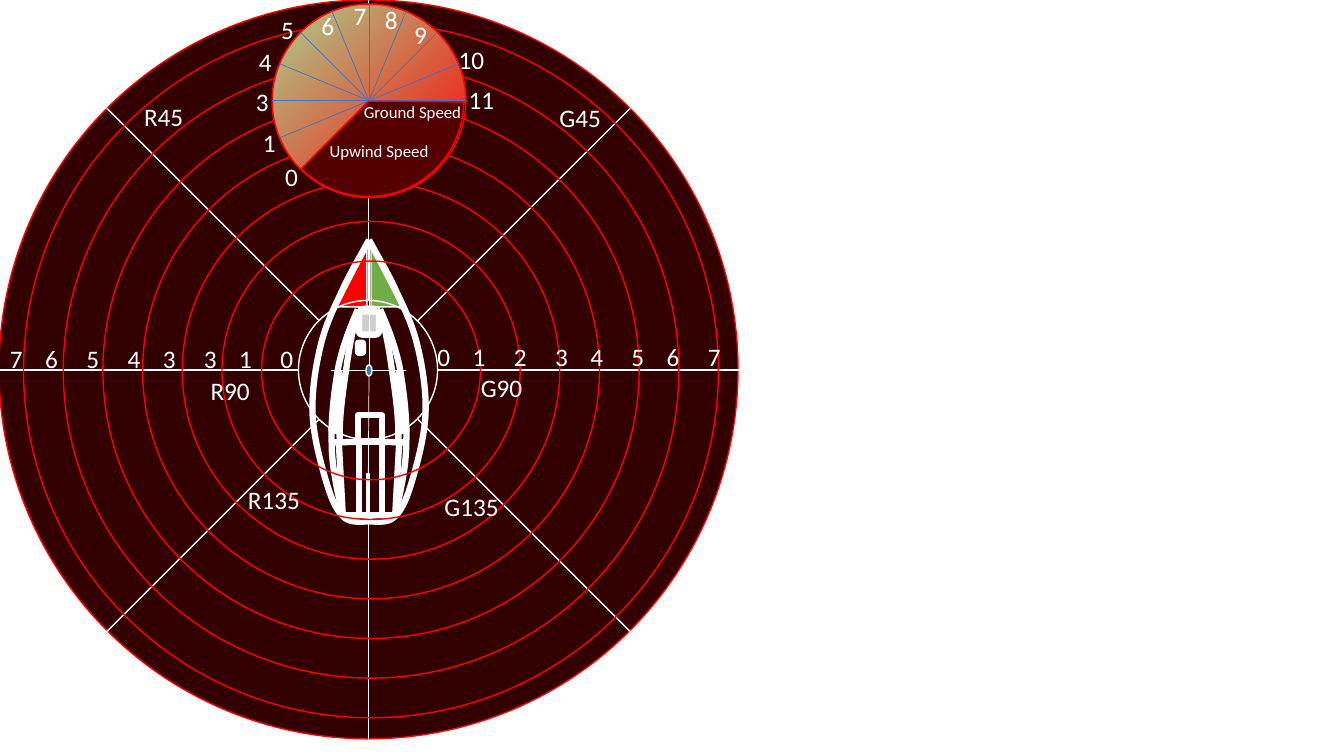
from itertools import accumulate
from math import cos, radians, sin

from lxml.etree import SubElement
from pptx import Presentation
from pptx.dml.color import RGBColor
from pptx.enum.shapes import MSO_CONNECTOR, MSO_SHAPE as Preset
from pptx.enum.text import MSO_AUTO_SIZE
from pptx.oxml.ns import qn
from pptx.util import Inches, Pt

CELL = Inches(0.1)  # the grid has 133.3 columns and 75 rows
COLORS = {
    "white": "FFFFFF", "red": "FF0000", "green": "70AD47", "blue": "4472C4",
    "grey": "D0CECE", "night": "320000", "maroon": "540000", "sage": "A9D18E",
}
HAIR, THIN, THICK = 0.5, 1, 4.5


def cells(count):
    return round(count * CELL)


def color(name):
    return RGBColor.from_string(COLORS[name])


def polar(center, radius, degrees):
    angle = radians(degrees)
    return center[0] + radius * cos(angle), center[1] + radius * sin(angle)


class Board:
    font = "Calibri"

    def __init__(self, presentation):
        self.slide = presentation.slides.add_slide(presentation.slide_layouts[6])
        self.shapes = self.slide.shapes

    def finish(self, shape, fill, line, weight):
        shape.shadow.inherit = False
        if fill:
            shape.fill.solid()
            shape.fill.fore_color.rgb = color(fill)
        else:
            shape.fill.background()
        shape.line.color.rgb = color(line)
        shape.line.width = Pt(weight)
        return shape

    def shape(self, preset, left, top, width, height, fill=None, line="white",
              weight=THIN, adjust=(), rotation=0, flip=False):
        shape = self.shapes.add_shape(preset, *map(cells, (left, top, width, height)))
        for index, value in enumerate(adjust):
            shape.adjustments[index] = value
        shape.rotation = rotation
        if flip:
            shape._element.spPr.find(qn("a:xfrm")).set("flipH", "1")
        return self.finish(shape, fill, line, weight)

    def circle(self, center, diameter, fill=None, line="red", preset=Preset.OVAL, adjust=()):
        left, top = (value - diameter / 2 for value in center)
        return self.shape(preset, left, top, diameter, diameter, fill, line, adjust=adjust)

    def line(self, start, end, weight=THIN, tint="white"):
        line = self.shapes.add_connector(
            MSO_CONNECTOR.STRAIGHT, *map(cells, (*start, *end)))
        line.line.color.rgb = color(tint)
        line.line.width = Pt(weight)
        SubElement(line._element.spPr, qn("a:effectLst"))
        return line

    def curve(self, points):
        """Draw a chain of cubic curves; every third point lies on the line."""
        start, *rest = [tuple(map(cells, point)) for point in points]
        builder = self.shapes.build_freeform(*start, scale=1)
        builder.add_line_segments(rest, close=False)
        shape = builder.convert_to_shape()
        outline = shape._element.spPr.find(".//" + qn("a:path"))
        segments = outline.findall(qn("a:lnTo"))
        for first in range(0, len(segments), 3):
            cubic = SubElement(outline, qn("a:cubicBezTo"))
            for segment in segments[first:first + 3]:
                cubic.append(segment[0])
                outline.remove(segment)
        return self.finish(shape, None, "white", THICK)

    def text(self, words, left, top, width, height=4, size=18, tabs=()):
        box = self.shapes.add_textbox(*map(cells, (left, top, width, height)))
        frame = box.text_frame
        frame.word_wrap = bool(tabs)
        frame.auto_size = MSO_AUTO_SIZE.SHAPE_TO_FIT_TEXT
        paragraph = frame.paragraphs[0]
        paragraph.text = words
        if tabs:
            properties = paragraph._p.get_or_add_pPr()
            stops = SubElement(properties, qn("a:tabLst"))
            for stop in tabs:
                SubElement(stops, qn("a:tab"), pos=str(cells(stop)), algn="l")
        paragraph.font.name = self.font
        paragraph.font.size = Pt(size)
        paragraph.font.color.rgb = color("white")

    def corner_gradient(self, shape, near, far):
        """Spread two colours outward from the bottom right corner."""
        shape.fill.gradient()
        for stop, name, position in zip(shape.fill.gradient_stops, (near, far), (0, 1)):
            stop.color.rgb = color(name)
            stop.position = position
        gradient = shape._element.spPr.find(qn("a:gradFill"))
        gradient.remove(gradient.find(qn("a:lin")))
        spread = SubElement(gradient, qn("a:path"))
        spread.set("path", "circle")
        SubElement(spread, qn("a:fillToRect"), l="100000", t="100000")


def draw_boat(board):
    axis = 36.6
    hull = [(36.6, 23.8), (35.7, 25.5), (34.7, 27.1), (33.9, 28.9), (33.1, 30.6),
            (32.3, 32.2), (31.8, 34.3), (31.3, 36.3), (30.9, 38.9), (31, 41.1),
            (31.1, 43.3), (31.8, 45.9), (32.3, 47.6), (32.8, 49.3), (33.3, 50.6),
            (34.1, 51.3), (34.8, 52), (36.3, 51.7), (36.8, 51.7)]
    deck = [(35.5, 30.7), (34.8, 32.3), (34.1, 34), (33.6, 36.2), (33.2, 38.4),
            (32.8, 41.5), (32.9, 43.9), (32.9, 46.4), (33.5, 48.8), (34, 51.1)]
    cabin = [(35.5, 30.7), (35.1, 32.3), (34.7, 34), (34.4, 36.2), (34.1, 38.3),
             (33.6, 41.3), (33.7, 43.8)]
    hatch = board.shape(Preset.RECTANGLE, 35.5, 41.2, 2.4, 2.6, weight=THICK)

    # Port half, then its mirror to starboard
    for side, bow in ((1, "red"), (-1, "green")):
        def mirror(point):
            return axis + side * (point[0] - axis), point[1]

        def left_edge(left, width):
            return left if side == 1 else 2 * axis - left - width

        port = side == 1
        board.shape(Preset.ISOSCELES_TRIANGLE, left_edge(33.4, 3), 24.65, 3, 5.8, bow,
                    adjust=[0], flip=port)
        board.shape(Preset.FLOWCHART_MANUAL_INPUT, left_edge(33.25, 0.6), 36.95, 0.6, 5.8,
                    "grey", weight=THICK, rotation=7.1 * side, flip=port)
        for outline in (hull, deck, cabin):
            board.curve([mirror(point) for point in outline])
        board.line(mirror((34, 51.1)), mirror((33.6, 43.8)), THICK)
        board.line(mirror((35.5, 30.7)), mirror((36.6, 30.6)), THICK)
        beam = board.line(mirror((32.9, 43.9)), (36.7, 43.8), THICK)
        beam.end_connect(hatch, 2)

    # Fittings on deck
    board.shape(Preset.OVAL, 36.3, 36.2, 0.6, 1.1, "blue")
    board.shape(Preset.ROUNDED_RECTANGLE, 35.6, 30.9, 2, 2.3, "grey", weight=THICK)
    board.shape(Preset.RECTANGLE, 36.4, 47, 0.2, 4.1, "blue")
    board.shape(Preset.FLOWCHART_ALTERNATE_PROCESS, 35.5, 34, 0.5, 1, "grey", weight=THICK)
    board.line((34, 51.1), (39.1, 51.1), THICK)
    for rail in (35.6, 37.9):
        board.line((rail, 51), (rail, 43.9), THICK)

    # Cross hairs
    for start, end in (((36.6, 23.8), (36.6, 36.2)), ((36.6, 37.2), (36.5, 51.1)),
                       ((36.9, 36.7), (40.3, 36.7)), ((32.8, 36.7), (36.3, 36.7))):
        board.line(start, end, HAIR)


def draw_radar(board):
    center = (36.55, 36.7)
    for step in range(8):
        board.line(polar(center, 6.9, 45 * step), polar(center, 36.7, 45 * step))
    board.circle((36.5, 36.7), 13.8, line="white")
    for ring in range(7):
        board.circle((36.8, 36.75), 21.7 + 7.87 * ring)

    # Range scales and bearings
    tabs = list(accumulate((3.5, 4.08, 4.08, 3.5, 4.08, 3.5, 4.08)))
    for digits, left, top in (("01234567", 42.4, 33.4), ("76543310", 0, 33.6)):
        board.text("\t".join(digits), left, top, 32.1, tabs=tabs)
    for bearing, left, top in (("G45", 54.5, 9.7), ("G90", 46.7, 36.4), ("G135", 43.1, 48.3),
                               ("R45", 13.3, 9.6), ("R90", 19.9, 36.7), ("R135", 23.6, 47.6)):
        board.text(bearing, left, top, 6.2 if len(bearing) == 3 else 7.5)


def draw_dial(board):
    center = (36.6, 10)
    board.circle(center, 19.2, "night")
    sector = board.circle(center, 19.2, preset=Preset.PIE, adjust=(80.87, 0.57))
    board.corner_gradient(sector, "red", "sage")
    for step in range(8):
        angle = 22.5 * step
        board.line(polar(center, 9.6, angle + 180), polar(center, 9.6, angle), HAIR, "blue")

    # Speed marks
    for mark, left, top in (("1", 25.1, 12.1), ("0", 27.3, 15.5), ("3", 24.4, 8.1),
                            ("4", 24.7, 4.1), ("5", 26.9, 0.9), ("6", 30.9, 0.5),
                            ("7", 34.1, -0.5), ("8", 37.2, -0.1), ("9", 40.1, 1.4),
                            ("10", 44.5, 3.9), ("11", 45.5, 7.9)):
        board.text(mark, left, top, 2 + 1.3 * len(mark))
    board.circle((36.55, 10.05), 18.9, "maroon", preset=Preset.PIE, adjust=(0.22, 80.92))
    board.text("Ground Speed", 35.1, 9.6, 11.8, 3, size=12)
    board.text("Upwind Speed", 31.7, 13.5, 11.9, 3, size=12)


def main():
    presentation = Presentation()
    presentation.slide_width = cells(133.3)
    presentation.slide_height = cells(75)
    board = Board(presentation)
    board.circle((36.55, 36.65), 73.3, "night")
    draw_boat(board)
    draw_radar(board)
    draw_dial(board)
    presentation.save("out.pptx")


if __name__ == "__main__":
    main()
